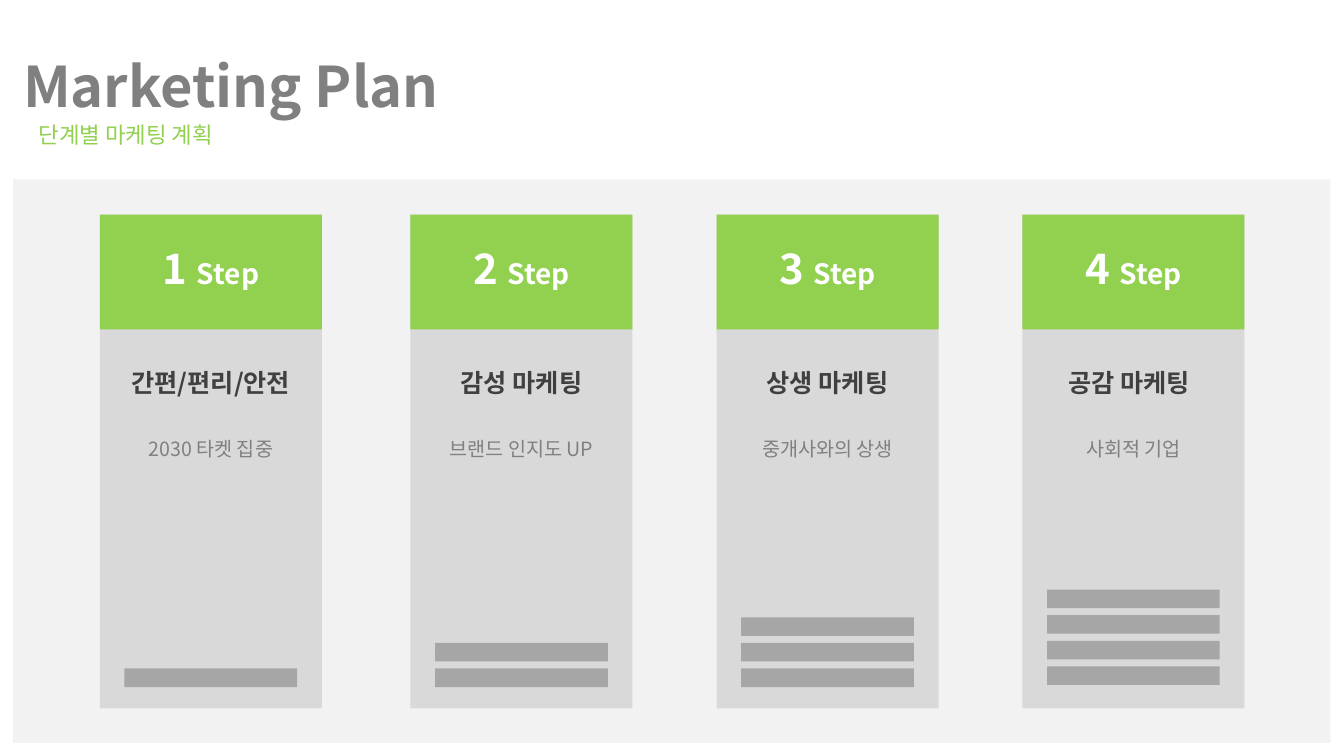
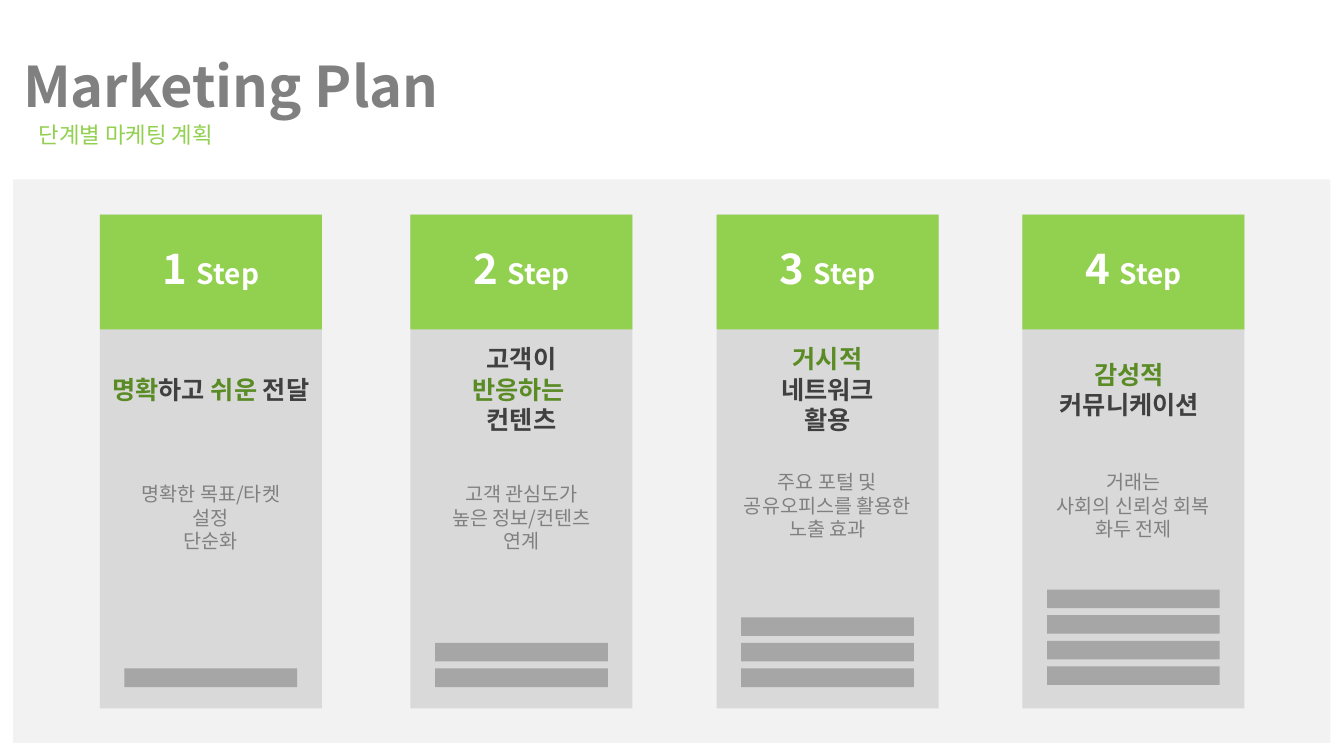
import dataclasses

import lxml.etree
import pptx
import pptx.dml.color
import pptx.enum.shapes
import pptx.enum.text
import pptx.oxml.ns
import pptx.util

Pt = pptx.util.Pt
ALIGN = pptx.enum.text.PP_ALIGN
ANCHOR = pptx.enum.text.MSO_ANCHOR
AUTO = pptx.enum.text.MSO_AUTO_SIZE
RECT = pptx.enum.shapes.MSO_SHAPE.RECTANGLE


@dataclasses.dataclass(frozen=True)
class Theme:
    font: str = "Noto Sans CJK KR"
    white: str = "FFFFFF"
    panel: str = "F2F2F2"
    card: str = "D9D9D9"
    bar: str = "A6A6A6"
    green: str = "92D050"
    accent: str = "5A8B25"
    dark: str = "404040"
    gray: str = "808080"
    title: int = 40
    number: int = 30
    step: int = 20
    heading: int = 18
    subtitle: int = 16
    body: int = 14


@dataclasses.dataclass(frozen=True)
class Column:
    left: float
    bar_base: float
    heading_w: float
    body_w: float
    heading_dx: float = 0


COLUMNS = [
    Column(71.3, 477.5, 165, 128),
    Column(293.2, 477.5, 144, 139),
    Column(511.8, 477.5, 111, 134),
    Column(730.3, 476, 125, 127, -3),
]
CARD_TOP, CARD_W, CARD_H, HEAD_H = 153.3, 158.6, 352.8, 82
BAR_W, BAR_H, BAR_PITCH = 123.4, 13.3, 18.3
HEADING_LINE, BODY_LINE, PADDING = 21.8, 17, 7.2

PLANS = [
    {
        "heading_mid": 273,
        "body_mid": 321,
        "steps": [
            (["간편/편리/안전"], ["2030 타켓 집중"]),
            (["감성 마케팅"], ["브랜드 인지도 UP"]),
            (["상생 마케팅"], ["중개사와의 상생"]),
            (["공감 마케팅"], ["사회적 기업"]),
        ],
    },
    {
        "heading_mid": 278.3,
        "body_mid": 361.3,
        "steps": [
            (["*명확*하고 *쉬운* 전달"], ["명확한 목표/타켓 설정", "단순화"]),
            (["고객이", "*반응하는 *", "컨텐츠"],
             ["고객 관심도가", "높은 정보/컨텐츠 연계"]),
            (["*거시적*", "네트워크", "활용"],
             ["주요 포털 및", "공유오피스를 활용한", "노출 효과"]),
            (["*감성적*", "커뮤니케이션"],
             ["거래는", "사회의 신뢰성 회복", "화두 전제"]),
        ],
    },
]


class Deck:
    def __init__(self, theme):
        self.theme = theme
        self.prs = pptx.Presentation()
        self.prs.slide_width, self.prs.slide_height = Pt(960), Pt(540)
        self.s = None

    def rect(self, x, y, w, h, color):
        sp = self.s.shapes.add_shape(RECT, Pt(x), Pt(y), Pt(w), Pt(h))
        sp.shadow.inherit = False
        sp.fill.solid()
        sp.fill.fore_color.rgb = pptx.dml.color.RGBColor.from_string(color)
        sp.line.fill.background()

    def text(self, x, y, w, h, paragraphs, **frame):
        tf = self.s.shapes.add_textbox(Pt(x), Pt(y), Pt(w), Pt(h)).text_frame
        for name, value in ({"word_wrap": True} | frame).items():
            setattr(tf, name, value)
        for i, runs in enumerate(paragraphs):
            p = tf.add_paragraph() if i else tf.paragraphs[0]
            p.alignment = ALIGN.CENTER
            for words, size, color, bold in runs:
                self.run(p, words, size, color, bold)

    def run(self, p, words, size, color, bold):
        r = p.add_run()
        r.text = words
        r.font.color.rgb = pptx.dml.color.RGBColor.from_string(color)
        fmt = {"name": self.theme.font, "size": Pt(size), "bold": bold}
        for name, value in fmt.items():
            setattr(r.font, name, value)
        ea = lxml.etree.SubElement(r._r.get_or_add_rPr(), pptx.oxml.ns.qn("a:ea"))
        ea.set("typeface", self.theme.font)

    def lines(self, center, mid, w, line_h, paragraphs):
        h = line_h * len(paragraphs) + PADDING
        self.text(center - w / 2, mid - h / 2, w, h, paragraphs,
                  auto_size=AUTO.SHAPE_TO_FIT_TEXT)

    def page(self, title, subtitle):
        t = self.theme
        self.s = self.prs.slides.add_slide(self.prs.slide_layouts[6])
        self.text(0, 24.5, 330, 72, [[(title, t.title, t.gray, True)]],
                  vertical_anchor=ANCHOR.MIDDLE)
        self.text(18, 82.8, 144, 29.5, [[(subtitle, t.subtitle, t.green, False)]])
        self.rect(9.4, 128.2, 941, 402.5, t.panel)

    def card(self, number, col):
        t = self.theme
        self.rect(col.left, CARD_TOP, CARD_W, CARD_H, t.card)
        self.rect(col.left, CARD_TOP, CARD_W, HEAD_H, t.green)
        label = [(f"{number} ", t.number, t.white, True), ("Step", t.step, t.white, True)]
        self.text(col.left + 36.5, 170, 85.6, 44, [label],
                  word_wrap=False, auto_size=AUTO.SHAPE_TO_FIT_TEXT)
        for i in range(number):
            self.rect(col.left + (CARD_W - BAR_W) / 2, col.bar_base - i * BAR_PITCH,
                      BAR_W, BAR_H, t.bar)

    def heading(self, col, mid, rows):
        t = self.theme
        paragraphs = [
            [(part, t.heading, t.accent if i % 2 else t.dark, True)
             for i, part in enumerate(row.split("*")) if part]
            for row in rows
        ]
        self.lines(col.left + CARD_W / 2 + col.heading_dx, mid, col.heading_w,
                   HEADING_LINE, paragraphs)

    def body(self, col, mid, rows):
        t = self.theme
        paragraphs = [[(row, t.body, t.gray, False)] for row in rows]
        self.lines(col.left + CARD_W / 2, mid, col.body_w, BODY_LINE, paragraphs)


def main():
    deck = Deck(Theme())
    for plan in PLANS:
        deck.page("Marketing Plan", "단계별 마케팅 계획")
        for number, (col, (heading, body)) in enumerate(zip(COLUMNS, plan["steps"]), 1):
            deck.card(number, col)
            deck.heading(col, plan["heading_mid"], heading)
            deck.body(col, plan["body_mid"], body)
    deck.prs.save("out.pptx")


if __name__ == "__main__":
    main()
